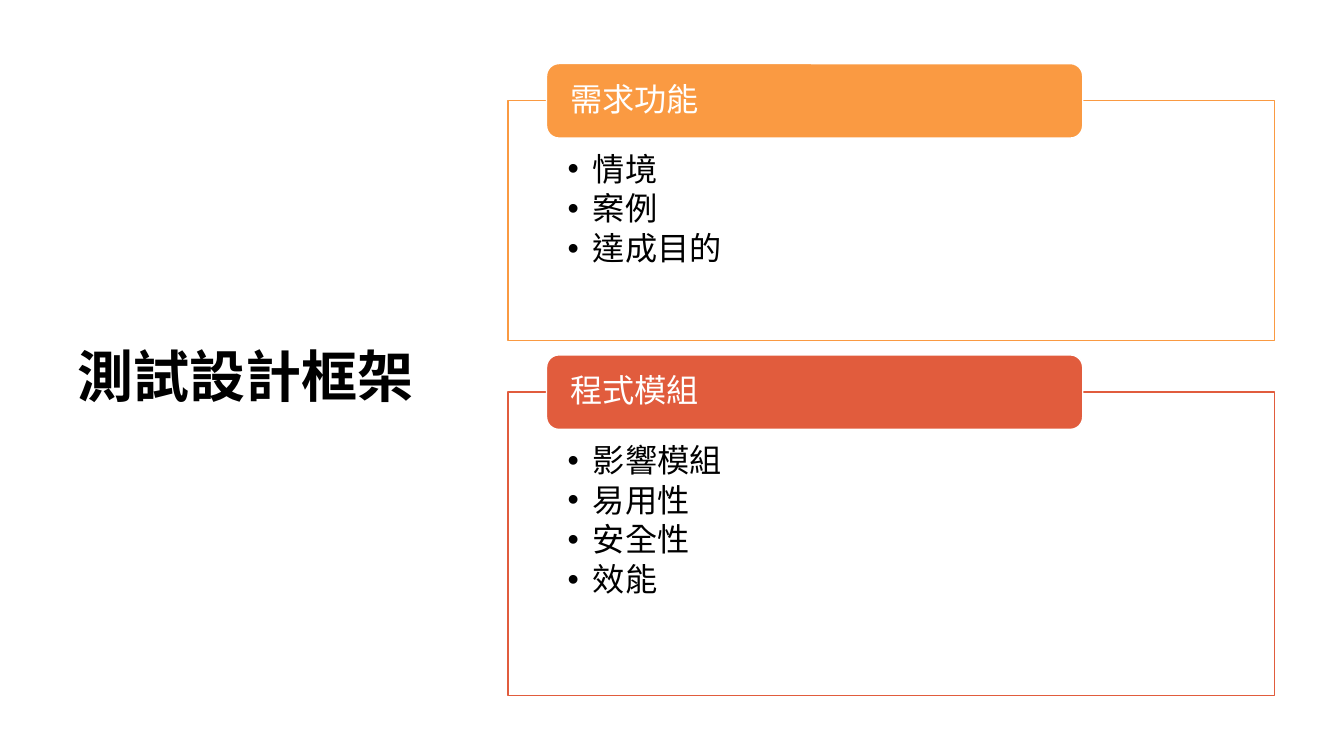
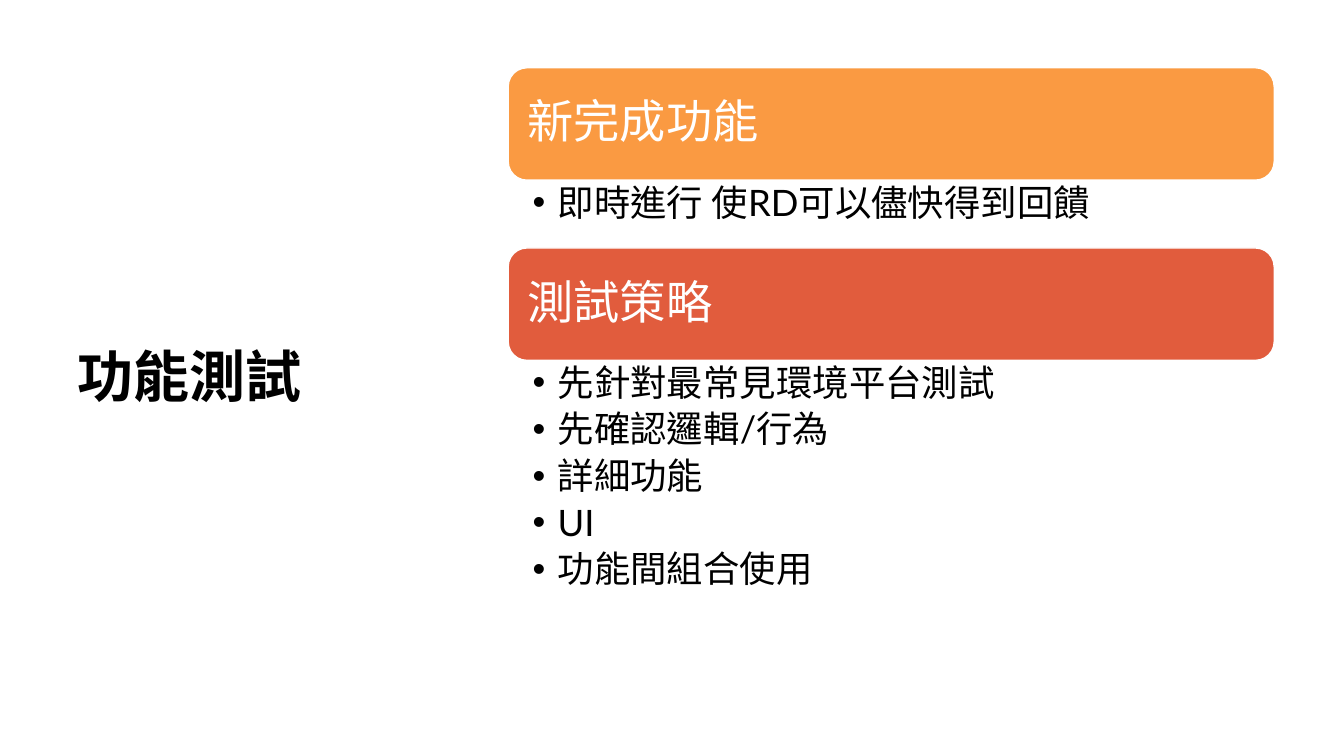
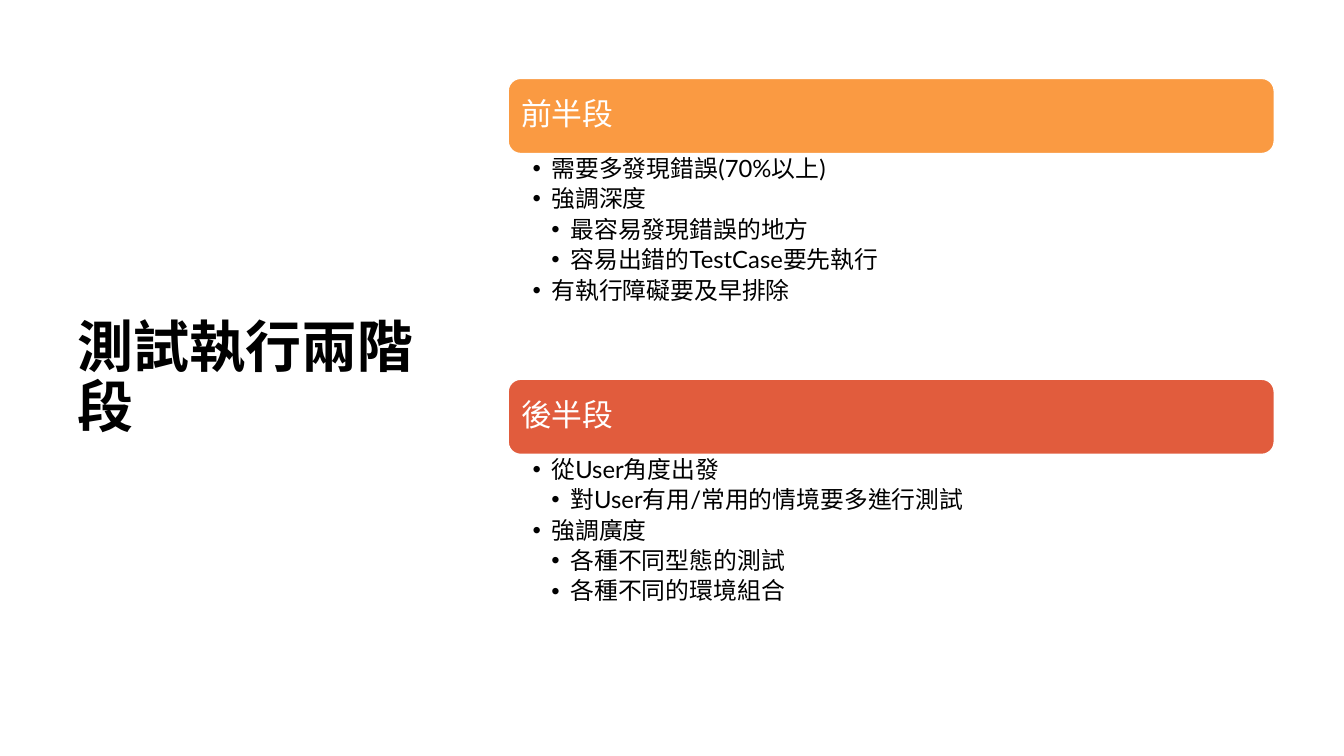
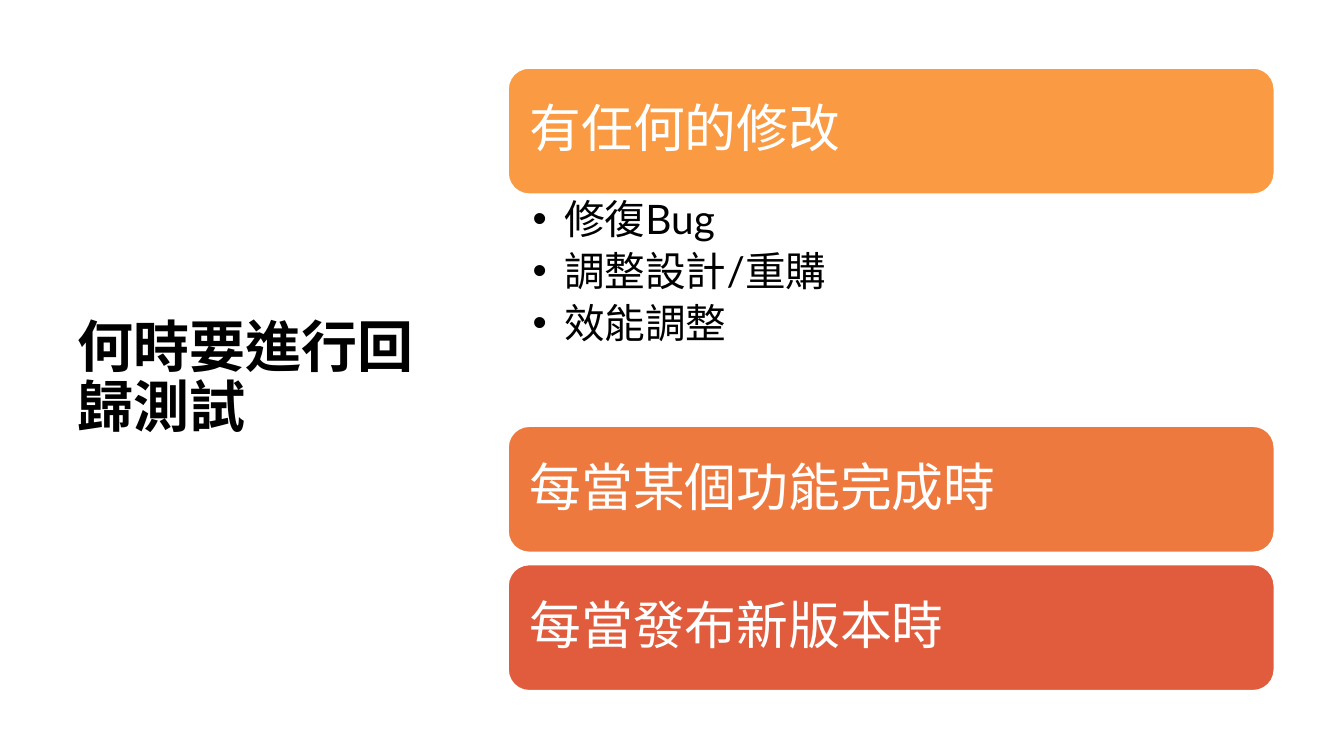
from lxml.etree import SubElement as Sub
from pptx import Presentation
from pptx.dml.color import RGBColor as RGB
from pptx.enum.lang import MSO_LANGUAGE_ID as Lang
from pptx.enum.shapes import MSO_SHAPE as Kind
from pptx.enum.text import MSO_ANCHOR as Anchor, PP_ALIGN as Align
from pptx.oxml.ns import qn
from pptx.util import Pt

# Shared look
BLACK = RGB(0x00, 0x00, 0x00)
WHITE = RGB(0xFF, 0xFF, 0xFF)
AMBER = RGB(0xFA, 0x9A, 0x42)
ORANGE = RGB(0xEE, 0x79, 0x3F)
RED = RGB(0xE1, 0x5C, 0x3D)
FONT = "Lato"
LEFT, WIDTH = 363, 547.2  # right-hand column


def set_all(item, values):
    for name, value in values.items():
        setattr(item, name, value)


def set_frame(frame, anchor, pads):
    left, top, right, bottom = map(Pt, pads)
    set_all(frame, dict(word_wrap=True, vertical_anchor=anchor,
                        margin_left=left, margin_top=top,
                        margin_right=right, margin_bottom=bottom))


def set_para(para, text, size, color, after=0, bold=False):
    set_all(para, dict(text=text, alignment=Align.LEFT, line_spacing=0.9,
                       space_after=Pt(size * after)))
    font = para.runs[0].font
    set_all(font, dict(name=FONT, size=Pt(size), bold=bold,
                       language_id=Lang.TRADITIONAL_CHINESE))
    font.color.rgb = color


def add_dot(para, level, step):
    props = para._p.get_or_add_pPr()
    props.set("marL", str(Pt(step * level)))
    props.set("indent", str(-Pt(step)))
    Sub(props, qn("a:buFont"), typeface="Arial")
    Sub(props, qn("a:buChar"), char="•")
    para.level = level


def add_title(slide, text):
    box = slide.shapes.add_textbox(Pt(48.2), Pt(43.2), Pt(275), Pt(455.8))
    set_frame(box.text_frame, Anchor.MIDDLE, (7.2, 3.6, 7.2, 3.6))
    set_para(box.text_frame.paragraphs[0], text, 40, BLACK, bold=True)


def add_box(slide, kind, area, fill, line):
    shape = slide.shapes.add_shape(kind, *map(Pt, area))
    shape.shadow.inherit = False
    shape.fill.solid()
    shape.fill.fore_color.rgb = fill
    shape.line.color.rgb = line
    shape.line.width = Pt(1)
    return shape


def add_head(slide, text, area, color, size, pads):
    shape = add_box(slide, Kind.ROUNDED_RECTANGLE, area, color, WHITE)
    set_frame(shape.text_frame, Anchor.MIDDLE, pads)
    set_para(shape.text_frame.paragraphs[0], text, size, WHITE, 0.35)


def add_list(shape, items, size, after, step, pads):
    """Items are texts, or (text, level) pairs for deeper levels."""
    frame = shape.text_frame
    set_frame(frame, Anchor.TOP, pads)
    for i, item in enumerate(items):
        text, level = item if isinstance(item, tuple) else (item, 1)
        para = frame.add_paragraph() if i else frame.paragraphs[0]
        add_dot(para, level, step)
        set_para(para, text, size, BLACK, after)


def add_panels(slide, panels):
    """Framed lists, each with a header across the top edge."""
    top = 72
    for head, color, tall, items in panels:
        panel = add_box(slide, Kind.RECTANGLE, (LEFT, top, WIDTH, tall),
                        WHITE, color)
        add_list(panel, items, 23, 0.15, 18, (42.5, 37.5, 42.5, 13))
        add_head(slide, head, (LEFT + 27.4, top - 26.6, 383, 53.2),
                 color, 23, (14.4, 0, 14.4, 0))
        top += tall + 36.7


def add_stack(slide, top, tall, size, pad, style, parts):
    """Full-width headers; the space under each may hold a list."""
    for head, color, room, items in parts:
        add_head(slide, head, (LEFT, top, WIDTH, tall), color, size, [pad] * 4)
        top += tall
        if items:
            box = slide.shapes.add_textbox(*map(Pt, (LEFT, top, WIDTH, room)))
            add_list(box, items, **style)
        top += room


def main():
    deck = Presentation()
    set_all(deck, dict(slide_width=Pt(960), slide_height=Pt(540)))

    def new_slide(title):
        slide = deck.slides.add_slide(deck.slide_layouts[6])
        add_title(slide, title)
        return slide

    # Test design framework
    add_panels(new_slide("測試設計框架"), [
        ("需求功能", AMBER, 171.4, ["情境", "案例", "達成目的"]),
        ("程式模組", RED, 216.7, ["影響模組", "易用性", "安全性", "效能"]),
    ])

    # Functional testing
    style = dict(size=26, after=0.2, step=18, pads=(17.4, 3.3, 18.7, 3.3))
    add_stack(new_slide("功能測試"), 48.4, 80.3, 33, 9.9, style, [
        ("新完成功能", AMBER, 48.4, ["即時進行 使RD可以儘快得到回饋"]),
        ("測試策略", RED, 236.9, ["先針對最常見環境平台測試", "先確認邏輯/行為",
                              "詳細功能", "UI", "功能間組合使用"]),
    ])

    # Two stages of running tests
    style = dict(size=17, after=0.2, step=13.5, pads=(17.4, 2.2, 12.2, 2.2))
    add_stack(new_slide("測試執行兩階段"), 56, 53.7, 22, 6.6, style, [
        ("前半段", AMBER, 161.2, ["需要多發現錯誤(70%以上)", "強調深度",
                               ("最容易發現錯誤的地方", 2),
                               ("容易出錯的TestCase要先執行", 2),
                               "有執行障礙要及早排除"]),
        ("後半段", RED, 161.2, ["從User角度出發",
                             ("對User有用/常用的情境要多進行測試", 2),
                             "強調廣度",
                             ("各種不同型態的測試", 2),
                             ("各種不同的環境組合", 2)]),
    ])

    # When to run regression tests
    style = dict(size=29, after=0.2, step=22.5, pads=(17.4, 3.7, 20.9, 3.7))
    add_stack(new_slide("何時要進行回歸測試"), 48.6, 90, 37, 11.1, style, [
        ("有任何的修改", AMBER, 165.9, ["修復Bug", "調整設計/重購", "效能調整"]),
        ("每當某個功能完成時", ORANGE, 8.8, []),
        ("每當發布新版本時", RED, 0, []),
    ])

    deck.save("out.pptx")


if __name__ == "__main__":
    main()
